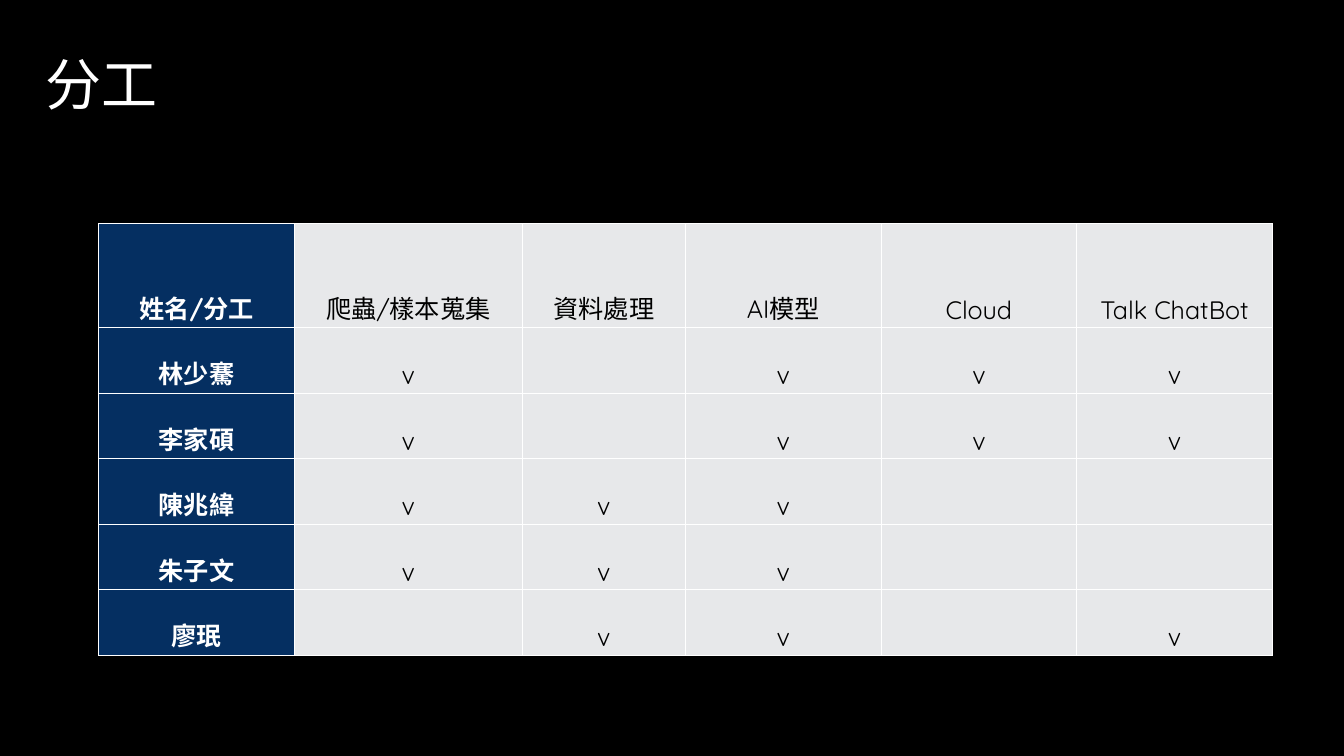
from lxml import etree
from pptx import Presentation
from pptx.dml.color import RGBColor
from pptx.enum import text
from pptx.oxml import ns
from pptx.util import Inches, Pt

CJK_FONT = "Noto Sans CJK TC"
LATIN_FONT = "Quicksand"
WHITE, BLACK, NAVY, PALE = "FFFFFF", "000000", "052F61", "E7E8EA"

TASKS = ["爬蟲/樣本蒐集", "資料處理", "AI模型", "Cloud", "Talk ChatBot"]
MEMBERS = {
    "林少騫": (0, 2, 3, 4),
    "李家碩": (0, 2, 3, 4),
    "陳兆緯": (0, 1, 2),
    "朱子文": (0, 1, 2),
    "廖珉": (1, 2, 4),
}
COLUMN_WIDTHS = [1.94, 2.26, 1.62, 1.94, 1.94, 1.94]
ROW_HEIGHTS = [1.03] + [0.65] * len(MEMBERS)
CELL_FORMAT = {
    "margin_left": Inches(0.03),
    "margin_right": Inches(0.03),
    "margin_top": Inches(0.02),
    "margin_bottom": Inches(0.02),
    "vertical_anchor": text.MSO_ANCHOR.BOTTOM,
}


def paint(fill, color):
    fill.solid()
    fill.fore_color.rgb = RGBColor.from_string(color)


def write(paragraph, words, align, color, size, latin, bold=False):
    paragraph.alignment = align
    run = paragraph.add_run()
    run.text = words
    paint(run.font.fill, color)
    for key, value in {"size": Pt(size), "bold": bold, "name": latin}.items():
        setattr(run.font, key, value)
    east_asian = etree.SubElement(run.font._element, ns.qn("a:ea"))
    east_asian.set("typeface", CJK_FONT)


def add_borders(cell, color, width):
    properties = cell._tc.get_or_add_tcPr()
    for side in ("lnL", "lnR", "lnT", "lnB"):
        line = etree.SubElement(properties, ns.qn(f"a:{side}"), w=str(Pt(width)))
        solid = etree.SubElement(line, ns.qn("a:solidFill"))
        etree.SubElement(solid, ns.qn("a:srgbClr"), val=color)


def fill_cell(cell, words, is_name):
    for key, value in CELL_FORMAT.items():
        setattr(cell, key, value)
    add_borders(cell, WHITE, 1)
    paint(cell.fill, NAVY if is_name else PALE)
    if words:
        write(cell.text_frame.paragraphs[0], words, text.PP_ALIGN.CENTER,
              WHITE if is_name else BLACK, 18, LATIN_FONT, is_name)


def add_title(slide, words):
    title = slide.shapes.title
    place = {"left": 0.35, "top": 0, "width": 9.33, "height": 1.65}
    for key, value in place.items():
        setattr(title, key, Inches(value))
    title.text_frame.vertical_anchor = text.MSO_ANCHOR.MIDDLE
    write(title.text_frame.paragraphs[0], words, text.PP_ALIGN.LEFT,
          WHITE, 40, CJK_FONT)


def add_duties(slide, rows):
    table = slide.shapes.add_table(
        len(rows), len(COLUMN_WIDTHS), Inches(0.98), Inches(2.22),
        Inches(sum(COLUMN_WIDTHS)), Inches(sum(ROW_HEIGHTS))).table
    for column, width in zip(table.columns, COLUMN_WIDTHS):
        column.width = Inches(width)
    for row, height in zip(table.rows, ROW_HEIGHTS):
        row.height = Inches(height)
    for i, row in enumerate(rows):
        for j, words in enumerate(row):
            fill_cell(table.cell(i, j), words, j == 0)


def main():
    deck = Presentation()
    deck.slide_width, deck.slide_height = Inches(13.33), Inches(7.5)
    slide = deck.slides.add_slide(deck.slide_layouts[5])
    paint(slide.background.fill, BLACK)
    add_title(slide, "分工")
    rows = [["姓名/分工"] + TASKS]
    for member, duties in MEMBERS.items():
        marks = ["v" if task in duties else "" for task in range(len(TASKS))]
        rows.append([member] + marks)
    add_duties(slide, rows)
    deck.save("out.pptx")


if __name__ == "__main__":
    main()
